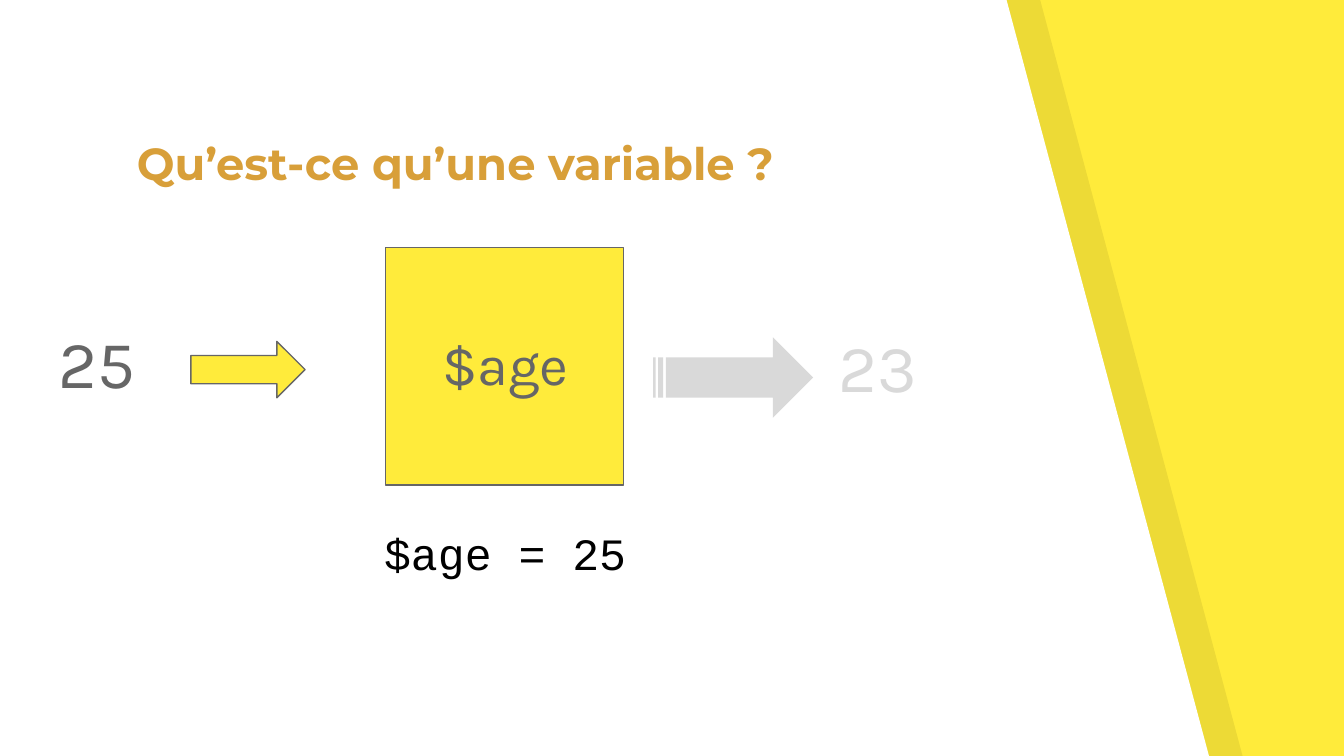
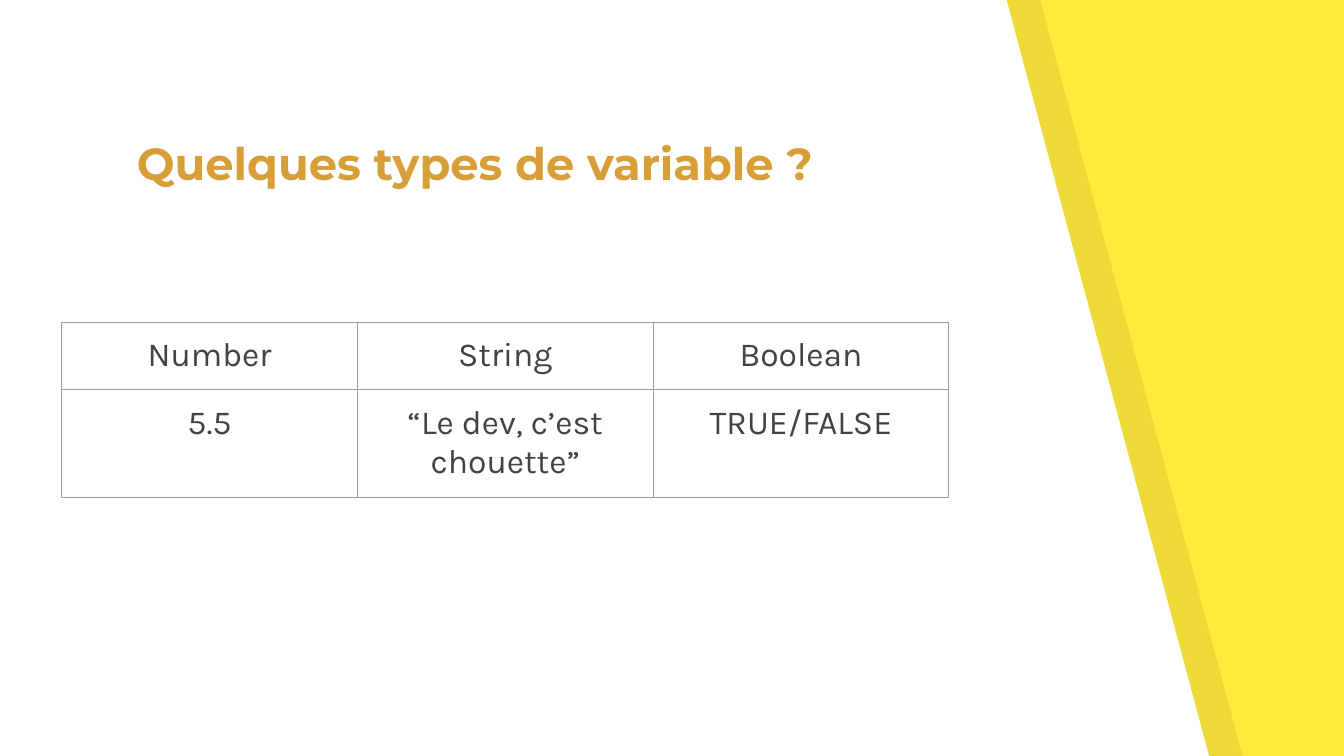
from lxml import etree
from pptx import Presentation
from pptx.dml.color import RGBColor
from pptx.enum.shapes import MSO_SHAPE as Preset
from pptx.enum.text import MSO_ANCHOR as Anchor, PP_ALIGN as Align
from pptx.oxml.ns import qn
from pptx.util import Inches, Pt

YELLOW = "FFEB3B"
WHITE = "FFFFFF"
BLACK = "000000"
GOLD = "D89F39"
GREY = "666666"
PALE_GREY = "D9D9D9"
DARK_GREY = "434343"
BORDER_GREY = "9E9E9E"

BODY_FONT = "Karla"
TITLE_FONT = "Montserrat"
CODE_FONT = "Courier New"

INSET = Inches(0.1)
THIN_LINE = Pt(0.75)
BAND_SHIFT = 0.25


def color(hex_string):
    return RGBColor.from_string(hex_string)


def set_fill(shape, fill):
    shape.shadow.inherit = False
    shape.fill.solid()
    shape.fill.fore_color.rgb = color(fill)


def set_outline(shape, outline=None):
    if outline:
        shape.line.color.rgb = color(outline)
        shape.line.width = THIN_LINE
    else:
        shape.line.fill.background()


def write(paragraph, text, size, font, ink, align=Align.LEFT, bold=False):
    paragraph.alignment = align
    run = paragraph.add_run()
    run.text = text
    run.font.size = Pt(size)
    run.font.name = font
    run.font.bold = bold
    run.font.color.rgb = color(ink)


def add_label(slide, box, text, size, font, ink, anchor=Anchor.TOP, **style):
    frame = slide.shapes.add_textbox(*map(Inches, box)).text_frame
    frame.word_wrap = True
    frame.vertical_anchor = anchor
    frame.margin_left = frame.margin_right = INSET
    frame.margin_top = frame.margin_bottom = INSET
    write(frame.paragraphs[0], text, size, font, ink, **style)


def add_preset(slide, preset, box, fill, outline=None):
    shape = slide.shapes.add_shape(preset, *map(Inches, box))
    set_fill(shape, fill)
    set_outline(shape, outline)


def add_slanted_panel(slide, left, fill, opacity=None):
    """Draw the panel whose right edge leans; opacity is in percent."""
    corners = [(left + x, y)
               for x, y in ((0, -0.01), (0, 5.64), (9, 5.64), (7.49, 0))]
    start, *others = [(Inches(x), Inches(y)) for x, y in corners]
    builder = slide.shapes.build_freeform(*start)
    builder.add_line_segments(others, close=True)
    panel = builder.convert_to_shape()
    set_fill(panel, fill)
    set_outline(panel)
    if opacity is not None:
        fill_color = panel.fill._xPr.find(qn("a:solidFill"))[0]
        etree.SubElement(fill_color, qn("a:alpha"), val=str(opacity * 1000))


def add_titled_slide(deck, title):
    slide = deck.slides.add_slide(deck.slide_layouts[6])
    background = slide.background.fill
    background.solid()
    background.fore_color.rgb = color(YELLOW)
    add_slanted_panel(slide, BAND_SHIFT, BLACK, opacity=7)
    add_slanted_panel(slide, 0, WHITE)
    add_label(slide, (0.92, 0.98, 5.82, 0.53), title, 24, TITLE_FONT, GOLD,
              anchor=Anchor.BOTTOM, bold=True)
    return slide


def set_borders(cell, ink):
    properties = cell._tc.get_or_add_tcPr()
    for position, side in enumerate(("lnL", "lnR", "lnT", "lnB")):
        border = etree.Element(qn(f"a:{side}"), w=str(THIN_LINE))
        fill = etree.SubElement(border, qn("a:solidFill"))
        etree.SubElement(fill, qn("a:srgbClr"), val=ink)
        properties.insert(position, border)


def add_grid(slide, left, top, column_width, row_height, rows):
    """Add a bordered table whose rows grow with their text."""
    column_count = len(rows[0])
    grid = slide.shapes.add_table(
        len(rows), column_count, Inches(left), Inches(top),
        Inches(column_width * column_count),
        Inches(row_height * len(rows))).table
    grid.first_row = grid.horz_banding = False
    for column in grid.columns:
        column.width = Inches(column_width)
    for row, texts in zip(grid.rows, rows):
        row.height = Inches(row_height)
        for cell, text in zip(row.cells, texts):
            cell.fill.background()
            cell.margin_left = cell.margin_right = INSET
            cell.margin_top = cell.margin_bottom = INSET
            set_borders(cell, BORDER_GREY)
            write(cell.text_frame.paragraphs[0], text, 18, BODY_FONT,
                  DARK_GREY, align=Align.CENTER)


def build_variable_slide(deck):
    slide = add_titled_slide(deck, "Qu’est-ce qu’une variable ?")
    add_label(slide, (0.34, 2.29, 1.19, 1.15), "25", 36, BODY_FONT, GREY)
    add_preset(slide, Preset.RIGHT_ARROW, (1.42, 2.54, 0.85, 0.42),
               YELLOW, GREY)
    add_label(slide, (2.76, 3.81, 4.26, 0.81), "$age = 25", 24, CODE_FONT,
              BLACK)
    add_preset(slide, Preset.RECTANGLE, (2.87, 1.84, 1.77, 1.77),
               YELLOW, GREY)
    add_label(slide, (2.95, 2.35, 1.62, 0.81), "$age", 30, BODY_FONT, GREY,
              align=Align.CENTER)
    add_preset(slide, Preset.STRIPED_RIGHT_ARROW, (4.86, 2.51, 1.19, 0.6),
               PALE_GREY)
    add_label(slide, (6.14, 2.32, 1.19, 1.15), "23", 36, BODY_FONT, PALE_GREY)


def build_types_slide(deck):
    slide = add_titled_slide(deck, "Quelques types de variable ?")
    add_grid(slide, 0.46, 2.4, 2.2, 0.42, [
        ("Number", "String", "Boolean"),
        ("5.5", "“Le dev, c’est chouette”", "TRUE/FALSE"),
    ])


def main():
    deck = Presentation()
    deck.slide_width = Inches(10)
    deck.slide_height = deck.slide_width * 9 // 16
    build_variable_slide(deck)
    build_types_slide(deck)
    deck.save("out.pptx")


if __name__ == "__main__":
    main()
